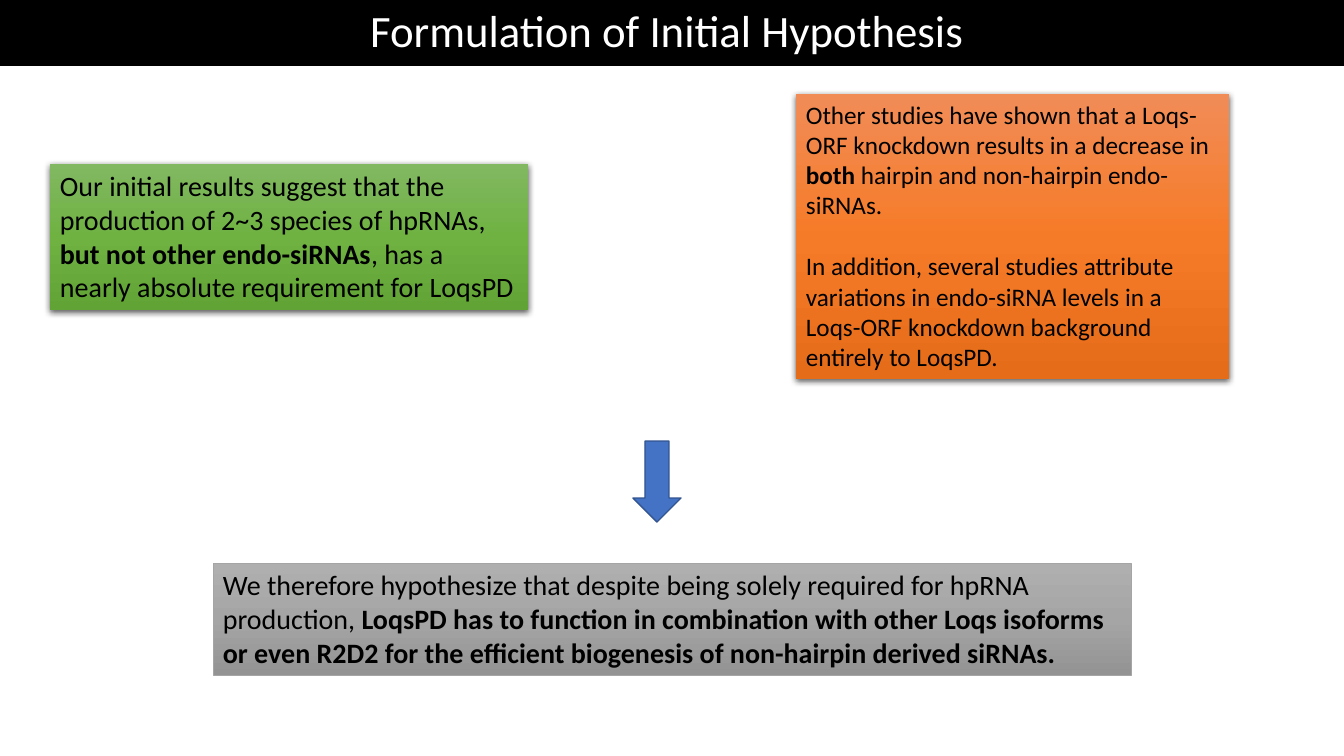
from copy import deepcopy
from dataclasses import dataclass

from lxml.etree import SubElement
from pptx import Presentation
from pptx.dml.color import RGBColor
from pptx.enum.shapes import MSO_SHAPE
from pptx.enum.text import MSO_ANCHOR, MSO_AUTO_SIZE, PP_ALIGN
from pptx.oxml.ns import qn
from pptx.shapes.autoshape import Shape
from pptx.slide import Slide
from pptx.text.text import _Run
from pptx.util import Emu, Pt

FONT = "Calibri"
BLACK = RGBColor(0x00, 0x00, 0x00)
WHITE = RGBColor(0xFF, 0xFF, 0xFF)
BLUE = RGBColor(0x44, 0x72, 0xC4)
DARK_BLUE = RGBColor(0x32, 0x54, 0x91)
GRAY = RGBColor(0xA5, 0xA5, 0xA5)
GREENS = (RGBColor(0x81, 0xB8, 0x61), RGBColor(0x6F, 0xB2, 0x42), RGBColor(0x62, 0xA3, 0x36))
ORANGES = (RGBColor(0xF1, 0x8C, 0x57), RGBColor(0xF6, 0x7B, 0x28), RGBColor(0xE5, 0x6C, 0x19))
GRAYS = (RGBColor(0xAF, 0xAF, 0xAF), GRAY, RGBColor(0x93, 0x93, 0x93))


@dataclass(frozen=True)
class Span:
    text: str
    bold: bool = False


@dataclass(frozen=True)
class Statement:
    box: tuple[int, int, int, int]
    colors: tuple[RGBColor, RGBColor, RGBColor]
    size: int
    paragraphs: tuple[tuple[Span, ...], ...]
    border: RGBColor | None = None


STATEMENTS = (
    Statement((50, 164, 478, 146), GREENS, 20, ((
        Span("Our initial results suggest that the production of 2~3 species of hpRNAs, "),
        Span("but not other endo-siRNAs", True),
        Span(", has a nearly absolute requirement for LoqsPD"),
    ),)),
    Statement((796, 94, 433, 285), ORANGES, 18, (
        (
            Span("Other studies have shown that a Loqs-ORF knockdown results in a decrease in "),
            Span("both ", True),
            Span("hairpin and non-hairpin endo-siRNAs."),
        ),
        (
            Span("In addition, several studies attribute variations in endo-siRNA levels "
                 "in a Loqs-ORF knockdown background entirely to LoqsPD."),
        ),
    )),
    Statement((213, 563, 918, 112), GRAYS, 20, ((
        Span("We therefore hypothesize that despite being solely required for hpRNA production, "),
        Span("LoqsPD has to function in combination with other Loqs isoforms or even R2D2 "
             "for the efficient biogenesis of non-hairpin derived siRNAs.", True),
    ),), GRAY),
)


def px(n: int) -> Emu:
    return Emu(round(n * 914400 / 100.8))


def add_block(s: Slide, kind: MSO_SHAPE, box: tuple[int, int, int, int]) -> Shape:
    sp = s.shapes.add_shape(kind, *map(px, box))
    sp.shadow.inherit = False
    sp.line.fill.background()
    return sp


def set_line(sp: Shape, color: RGBColor, width: float) -> None:
    sp.line.color.rgb = color
    sp.line.width = Pt(width)


def set_gradient(sp: Shape, colors: tuple[RGBColor, ...]) -> None:
    sp.fill.gradient()
    sp.fill.gradient_angle = 270
    stops = sp._element.spPr.find(qn("a:gradFill")).find(qn("a:gsLst"))
    stops.append(deepcopy(stops[-1]))
    for i, (stop, color) in enumerate(zip(sp.fill.gradient_stops, colors)):
        stop.position = i / (len(colors) - 1)
        stop.color.rgb = color


def add_shadow(sp: Shape) -> None:
    effects = sp._element.spPr.find(qn("a:effectLst"))
    shadow = SubElement(effects, qn("a:outerShdw"), blurRad=str(Pt(4.5)), dist=str(Pt(1.5)),
                        dir="5400000", algn="ctr", rotWithShape="0")
    color = SubElement(shadow, qn("a:srgbClr"), val=str(BLACK))
    SubElement(color, qn("a:alpha"), val="63000")


def style_run(r: _Run, size: int, color: RGBColor, bold: bool = False) -> None:
    r.font.name = FONT
    r.font.size = Pt(size)
    r.font.color.rgb = color
    r.font.bold = bold


def add_title(s: Slide, text: str) -> None:
    sp = add_block(s, MSO_SHAPE.RECTANGLE, (0, 0, 1344, 66))
    sp.fill.solid()
    sp.fill.fore_color.rgb = BLACK
    tf = sp.text_frame
    tf.text = text
    tf.word_wrap = True
    tf.vertical_anchor = MSO_ANCHOR.MIDDLE
    p = tf.paragraphs[0]
    p.alignment = PP_ALIGN.CENTER
    p.line_spacing = 0.9
    style_run(p.runs[0], 32, WHITE)


def add_statement(s: Slide, statement: Statement) -> None:
    sp = add_block(s, MSO_SHAPE.RECTANGLE, statement.box)
    set_gradient(sp, statement.colors)
    if statement.border is None:
        add_shadow(sp)
    else:
        set_line(sp, statement.border, 0.5)
    tf = sp.text_frame
    tf.word_wrap = True
    tf.auto_size = MSO_AUTO_SIZE.SHAPE_TO_FIT_TEXT
    tf.vertical_anchor = MSO_ANCHOR.TOP
    for i, spans in enumerate(statement.paragraphs):
        p = tf.add_paragraph() if i else tf.paragraphs[0]
        p.alignment = PP_ALIGN.LEFT
        if i:
            p.space_before = Pt(22)
        for span in spans:
            r = p.add_run()
            r.text = span.text
            style_run(r, statement.size, BLACK, span.bold)


def add_arrow(s: Slide) -> None:
    sp = add_block(s, MSO_SHAPE.DOWN_ARROW, (633, 441, 48, 81))
    sp.fill.solid()
    sp.fill.fore_color.rgb = BLUE
    set_line(sp, DARK_BLUE, 1)


def main() -> None:
    prs = Presentation()
    prs.slide_width, prs.slide_height = px(1344), px(756)
    s = prs.slides.add_slide(prs.slide_layouts[6])
    add_title(s, "Formulation of Initial Hypothesis ")
    for statement in STATEMENTS:
        add_statement(s, statement)
    add_arrow(s)
    prs.save("out.pptx")


if __name__ == "__main__":
    main()
